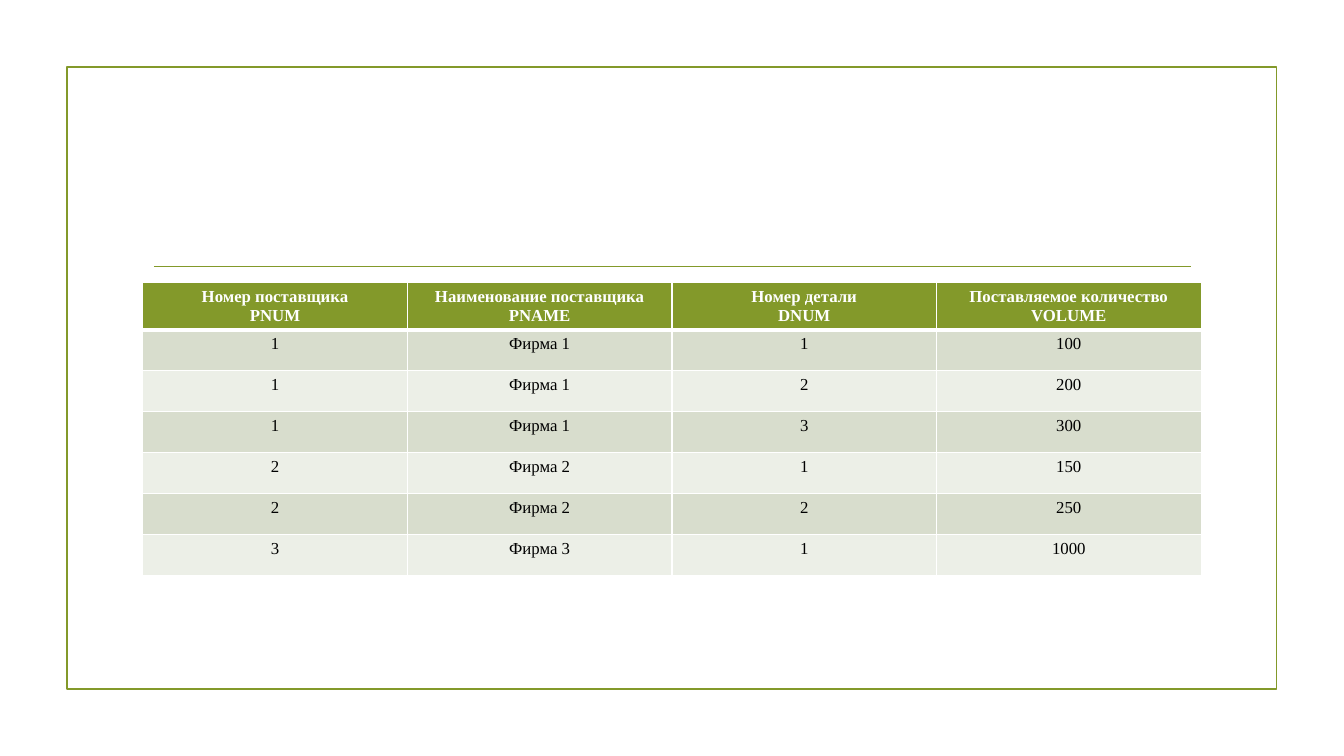
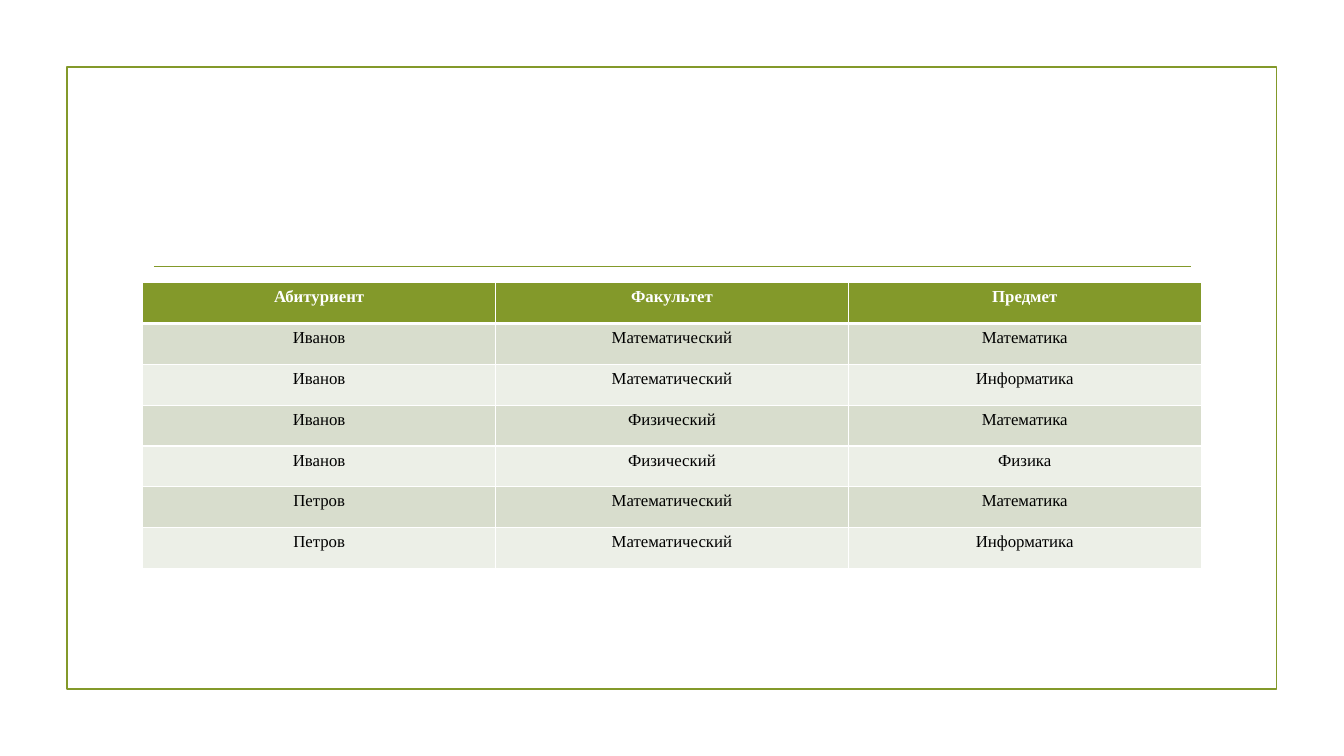
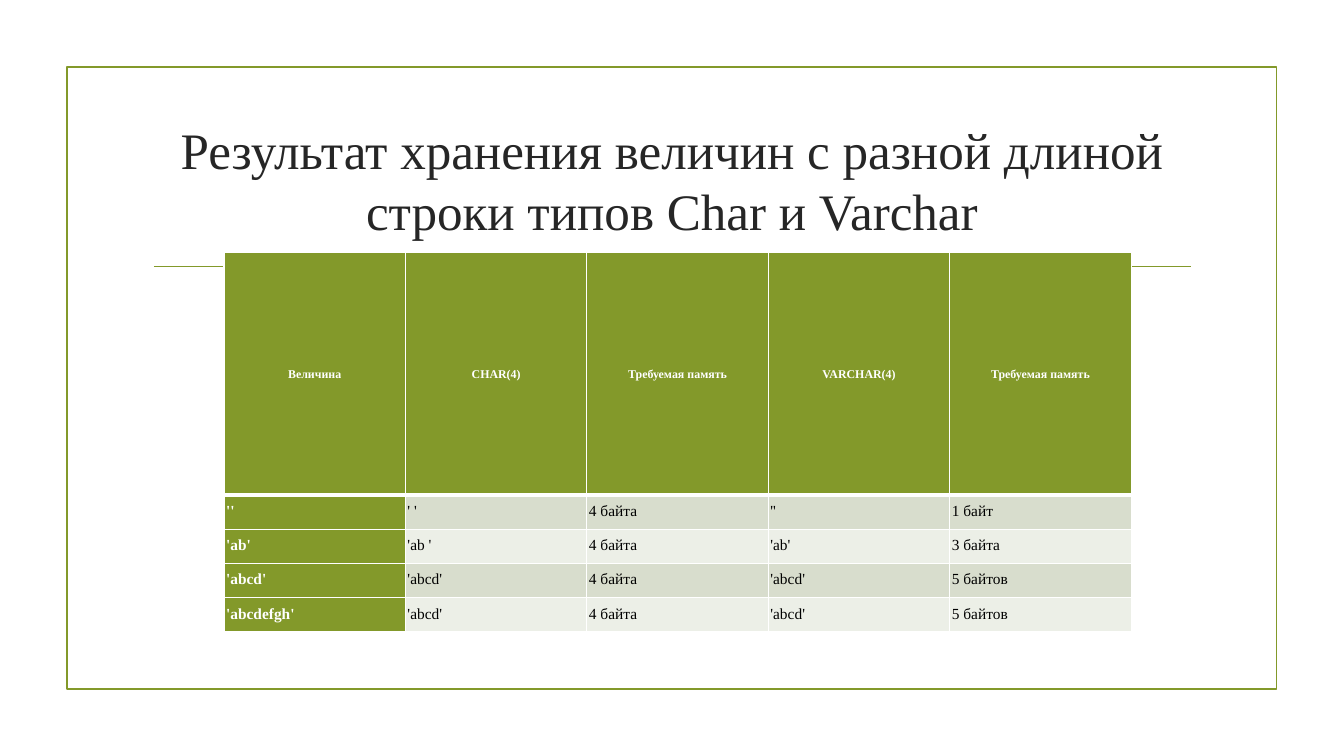
from lxml.etree import SubElement
from pptx import Presentation
from pptx.dml.color import RGBColor
from pptx.enum.shapes import MSO_CONNECTOR, MSO_SHAPE
from pptx.enum.text import MSO_ANCHOR, PP_ALIGN
from pptx.oxml import parse_xml
from pptx.oxml.ns import nsdecls, qn
from pptx.util import Pt

GREEN = RGBColor(0x83, 0x99, 0x2A)
DARK = RGBColor(0xD8, 0xDD, 0xCD)
LIGHT = RGBColor(0xEC, 0xEF, 0xE7)
WHITE = RGBColor(0xFF, 0xFF, 0xFF)
BLACK = RGBColor(0x00, 0x00, 0x00)
INK = RGBColor(0x26, 0x26, 0x26)
FONT = "Times New Roman"

PARTS = [
    ("Номер поставщика\vPNUM", "Наименование поставщика\vPNAME",
     "Номер детали\vDNUM", "Поставляемое количество\vVOLUME"),
    ("1", "Фирма 1", "1", "100"),
    ("1", "Фирма 1", "2", "200"),
    ("1", "Фирма 1", "3", "300"),
    ("2", "Фирма 2", "1", "150"),
    ("2", "Фирма 2", "2", "250"),
    ("3", "Фирма 3", "1", "1000"),
]
EXAMS = [
    ("Абитуриент", "Факультет", "Предмет"),
    ("Иванов", "Математический", "Математика"),
    ("Иванов", "Математический", "Информатика"),
    ("Иванов", "Физический", "Математика"),
    ("Иванов", "Физический", "Физика"),
    ("Петров", "Математический", "Математика"),
    ("Петров", "Математический", "Информатика"),
]
TYPES = [
    ("Величина", "CHAR(4)", "Требуемая память", "VARCHAR(4)", "Требуемая память"),
    ("''", "' '", "4 байта", "''", "1 байт"),
    ("'ab'", "'ab '", "4 байта", "'ab'", "3 байта"),
    ("'abcd'", "'abcd'", "4 байта", "'abcd'", "5 байтов"),
    ("'abcdefgh'", "'abcd'", "4 байта", "'abcd'", "5 байтов"),
]


class Deck:
    def __init__(self):
        self.prs = Presentation()
        self.prs.slide_width = Pt(960)
        self.prs.slide_height = Pt(540)
        self.slide = None

    def page(self):
        self.slide = self.prs.slides.add_slide(self.prs.slide_layouts[6])
        self.frame()
        self.rule()

    def frame(self):
        box = self.slide.shapes.add_shape(
            MSO_SHAPE.RECTANGLE, Pt(47.8), Pt(48), Pt(864), Pt(444))
        box.shadow.inherit = False
        box.fill.background()
        box.line.color.rgb = GREEN
        box.line.width = Pt(1.25)

    def rule(self):
        line = self.slide.shapes.add_connector(
            MSO_CONNECTOR.STRAIGHT, Pt(110), Pt(190.5), Pt(850.5), Pt(190.5))
        line.line.color.rgb = GREEN
        line.line.width = Pt(0.75)
        SubElement(line._element.spPr, qn("a:effectLst"))

    def style(self, para, size, color, bold=False):
        for run in para.runs:
            run.font.name = FONT
            run.font.size = Pt(size)
            run.font.color.rgb = color
            run.font.bold = bold

    def title(self, text):
        box = self.slide.shapes.add_textbox(Pt(102), Pt(77), Pt(756), Pt(103))
        frame = box.text_frame
        frame.word_wrap = True
        frame.vertical_anchor = MSO_ANCHOR.MIDDLE
        frame.text = text
        para = frame.paragraphs[0]
        para.alignment = PP_ALIGN.CENTER
        self.style(para, 36.5, INK)

    def edges(self, cell, base):
        props = cell._tc.get_or_add_tcPr()
        widths = {"lnL": 0.96, "lnR": 0.96, "lnT": 0.96, "lnB": base}
        for spot, (tag, width) in enumerate(widths.items()):
            props.insert(spot, parse_xml(
                f'<a:{tag} {nsdecls("a")} w="{Pt(width)}"><a:solidFill>'
                f'<a:srgbClr val="{WHITE}"/></a:solidFill></a:{tag}>'))

    def cell(self, cell, text, fill, size, head, strong):
        cell.fill.solid()
        cell.fill.fore_color.rgb = fill
        self.edges(cell, 3 if head else 0.96)
        cell.text_frame.text = text
        para = cell.text_frame.paragraphs[0]
        self.style(para, size, WHITE if strong else BLACK, strong)
        return para

    def table(self, data, left, top, width, head, row, sizes, pad, types=False):
        rows, cols = len(data), len(data[0])
        grid = self.slide.shapes.add_table(
            rows, cols, Pt(left), Pt(top), Pt(width),
            Pt(head + row * (rows - 1))).table
        for col in grid.columns:
            col.width = Pt(width / cols)
        for r, texts in enumerate(data):
            first = r == 0
            grid.rows[r].height = Pt(head if first else row)
            for c, text in enumerate(texts):
                strong = first or (types and c == 0)
                fill = GREEN if strong else DARK if r % 2 else LIGHT
                cell = grid.cell(r, c)
                para = self.cell(cell, text, fill, sizes[0 if first else 1],
                                 first, strong)
                if first or not types:
                    para.alignment = PP_ALIGN.CENTER
                if types:
                    para.line_spacing = 1.15
                    para.space_after = Pt(10)
                if types and first:
                    cell.vertical_anchor = MSO_ANCHOR.MIDDLE
                else:
                    cell.margin_left = cell.margin_right = Pt(pad)


def main():
    deck = Deck()
    deck.page()
    deck.table(PARTS, 102, 201.8, 756, 32.5, 29.2, (12, 12), 2.2)
    deck.page()
    deck.table(EXAMS, 102, 201.8, 756, 29.2, 29.2, (12, 12), 2.2)
    deck.page()
    deck.title("Результат хранения величин с разной длиной строки типов Char и Varchar")
    deck.table(TYPES, 160, 180, 648, 173.5, 24.5, (8.5, 11), 1.5, True)
    deck.prs.save("out.pptx")


if __name__ == "__main__":
    main()
